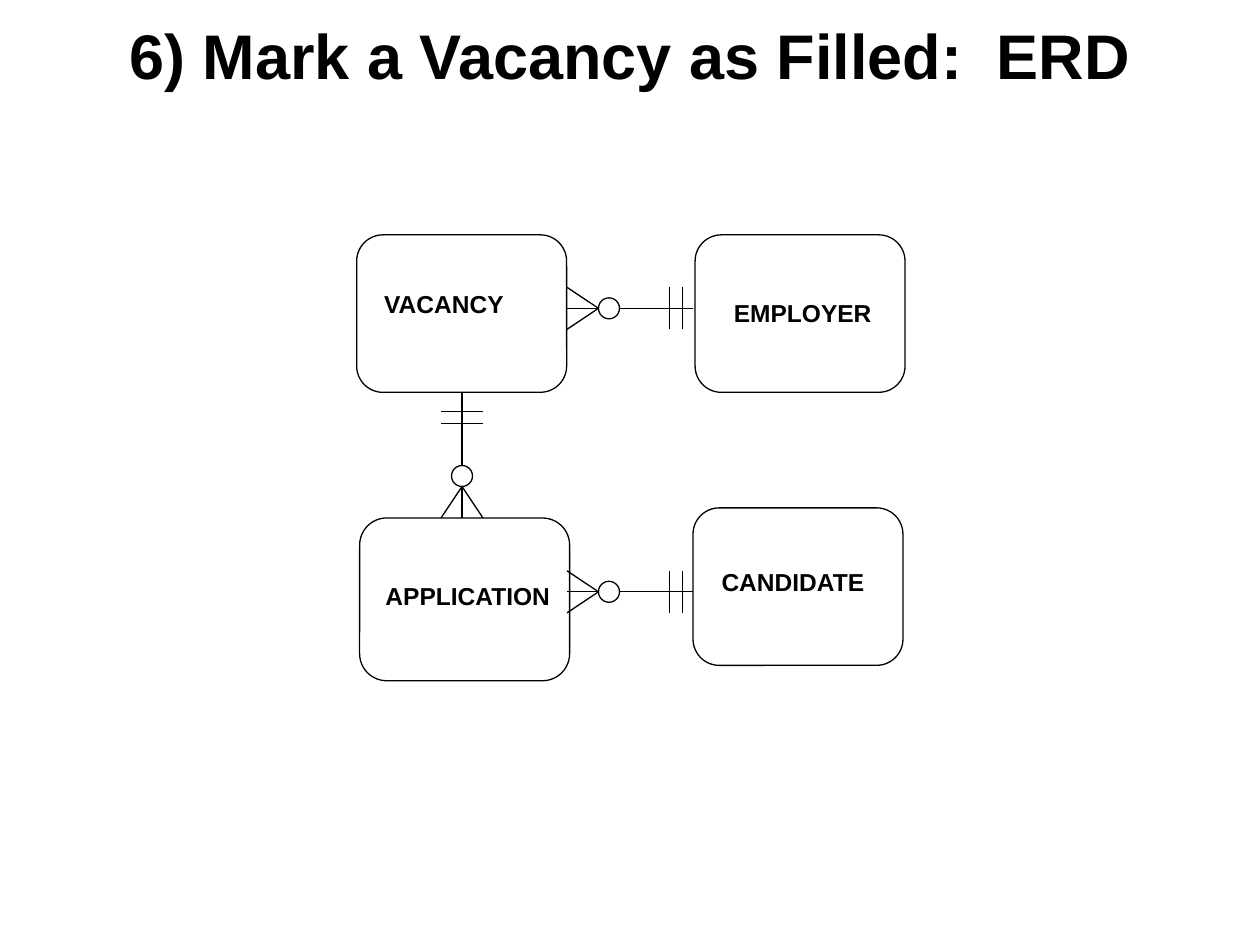
from pptx import Presentation
from pptx.dml.color import RGBColor
from pptx.enum.shapes import MSO_CONNECTOR, MSO_SHAPE
from pptx.enum.text import MSO_ANCHOR, MSO_AUTO_SIZE, PP_ALIGN
from pptx.oxml.ns import qn
from pptx.util import Pt
from lxml import etree

BLACK = RGBColor(0, 0, 0)
WHITE = RGBColor(255, 255, 255)
LINE_WIDTH = Pt(0.74)

prs = Presentation()
prs.slide_width, prs.slide_height = Pt(720), Pt(540)
s = prs.slides.add_slide(prs.slide_layouts[5])


def add_outline(kind, x, y, w, h):
    sp = s.shapes.add_shape(kind, Pt(x), Pt(y), Pt(w), Pt(h))
    sp.shadow.inherit = False
    sp.fill.solid()
    sp.fill.fore_color.rgb = WHITE
    sp.line.color.rgb = BLACK
    sp.line.width = LINE_WIDTH


def add_line(x1, y1, x2, y2):
    line = s.shapes.add_connector(MSO_CONNECTOR.STRAIGHT, Pt(x1), Pt(y1), Pt(x2), Pt(y2))
    line.line.color.rgb = BLACK
    line.line.width = LINE_WIDTH
    etree.SubElement(line._element.spPr, qn("a:effectLst"))


# Title
title = s.shapes.title
title.left, title.top, title.width, title.height = Pt(0), Pt(5.8), Pt(720), Pt(50.4)
tf = title.text_frame
tf.text = "6) Mark a Vacancy as Filled:  ERD"
tf.vertical_anchor = MSO_ANCHOR.TOP
tf.auto_size = MSO_AUTO_SIZE.NONE
p = tf.paragraphs[0]
p.alignment = PP_ALIGN.CENTER
p.font.name, p.font.size, p.font.bold = "Arial", Pt(36), True
p.font.color.rgb = BLACK

# Entities: name, box (left, top, height), label (left, top, width)
entities = [
    ("VACANCY", (203.8, 134.2, 90), (212.4, 161.6, 85)),
    ("EMPLOYER", (397.2, 134.2, 90), (412.2, 166.5, 96)),
    ("APPLICATION", (205.5, 296, 93), (213.2, 328.3, 111)),
    ("CANDIDATE", (396, 290.2, 90), (405.2, 320.4, 99)),
]
for name, (x, y, h), (label_x, label_y, label_w) in entities:
    add_outline(MSO_SHAPE.FLOWCHART_ALTERNATE_PROCESS, x, y, 120, h)
    label = s.shapes.add_textbox(Pt(label_x), Pt(label_y), Pt(label_w), Pt(24.5))
    tf = label.text_frame
    tf.word_wrap = False
    tf.text = name
    p = tf.paragraphs[0]
    p.font.name, p.font.size, p.font.bold = "Arial", Pt(14), True
    p.font.color.rgb = BLACK

# Relationships: start at the "many" end, direction, distances of the "one" bars
LENGTH, FOOT, HALF, RADIUS = 72, 18, 12, 6
relationships = [
    (324, 176.2, 1, 0, (58.5, 66)),
    (264, 296, 0, -1, (54, 61)),
    (324, 338.2, 1, 0, (58.5, 66)),
]
for x, y, dx, dy, bars in relationships:
    add_line(x, y, x + LENGTH * dx, y + LENGTH * dy)
    for side in (-HALF, HALF):
        add_line(x + FOOT * dx, y + FOOT * dy, x + side * dy, y + side * dx)
    for d in bars:
        bar_x, bar_y = x + d * dx, y + d * dy
        add_line(bar_x - HALF * abs(dy), bar_y - HALF * dx,
                 bar_x + HALF * abs(dy), bar_y + HALF * dx)
    centre = FOOT + RADIUS
    add_outline(MSO_SHAPE.OVAL, x + centre * dx - RADIUS, y + centre * dy - RADIUS,
                2 * RADIUS, 2 * RADIUS)

prs.save("out.pptx")
